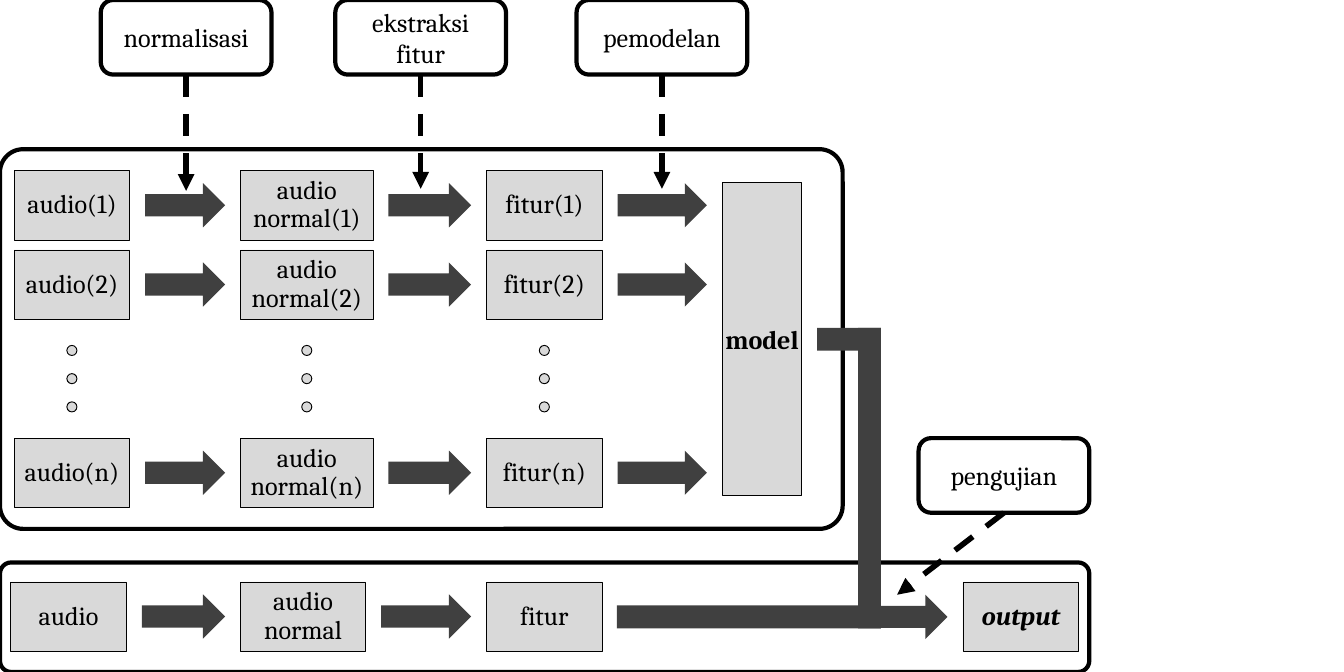
from lxml import etree
from pptx import Presentation
from pptx import util as u
from pptx.dml.color import RGBColor
from pptx.enum import dml, shapes, text
from pptx.oxml.ns import qn

COLORS = {"ink": "000000", "box": "D9D9D9", "arrow": "404040"}
KIND = shapes.MSO_SHAPE
GAP = 0.23
BOX_HEIGHT = 1.03
ARROW_HEIGHT = 0.66
BAR = 0.34
DOT = 0.15


def rgb(name):
    """Return the named colour."""
    return RGBColor.from_string(COLORS[name])


def add_part(page, kind, box, fill=None, line=None):
    """Draw a preset shape in box; a missing fill or line is left off."""
    part = page.shapes.add_shape(kind, *map(u.Inches, box))
    part.shadow.inherit = False
    if fill:
        part.fill.solid()
        part.fill.fore_color.rgb = rgb(fill)
    else:
        part.fill.background()
    if line:
        part.line.color.rgb = rgb("ink")
        part.line.width = u.Pt(line)
    else:
        part.line.fill.background()
    return part


def write(part, label, wrap=True, spacing=1.0, bold=False, italic=False):
    """Centre a label in a shape."""
    frame = part.text_frame
    frame.word_wrap = wrap
    frame.vertical_anchor = text.MSO_ANCHOR.MIDDLE
    frame.text = label
    for para in frame.paragraphs:
        para.alignment = text.PP_ALIGN.CENTER
        para.line_spacing = spacing
        para.font.name = "Cambria"
        para.font.size = u.Pt(28)
        para.font.bold = bold
        para.font.italic = italic
        para.font.color.rgb = rgb("ink")


def add_panel(page, box, rounding):
    """Draw the rounded outline around a process."""
    panel = add_part(page, KIND.ROUNDED_RECTANGLE, box, line=4.5)
    panel.adjustments[0] = rounding


def add_stage(page, left, top, width, label, **style):
    """Draw one grey data box with its label."""
    stage = add_part(page, KIND.RECTANGLE, (left, top, width, BOX_HEIGHT), "box", 0.75)
    frame = stage.text_frame
    frame.margin_left = frame.margin_right = u.Inches(0.11)
    frame.margin_top = frame.margin_bottom = u.Inches(0.11)
    write(stage, label, spacing=0.9, **style)


def add_arrow(page, left, right, stage_top):
    """Draw a block arrow level with the stages at stage_top."""
    top = stage_top + (BOX_HEIGHT - ARROW_HEIGHT) / 2
    add_part(page, KIND.RIGHT_ARROW, (left, top, right - left, ARROW_HEIGHT), "arrow")


def add_row(page, stages, top, end=None):
    """Draw stages (left, width, label) joined by arrows, the last one towards end."""
    next_lefts = [left for left, _, _ in stages[1:]] + [end]
    for (left, width, label), next_left in zip(stages, next_lefts):
        add_stage(page, left, top, width, label)
        if next_left is not None:
            add_arrow(page, left + width + GAP, next_left - GAP, top)


def add_training(page, box):
    """Draw the training process: rows 1, 2 to n that feed the model."""
    left, top, _, _ = box
    add_panel(page, box, 0.061)
    columns = [(0.21, 1.72, "audio"), (3.58, 1.97, "audio\vnormal"), (7.24, 1.72, "fitur")]
    model_left = left + 10.75
    for index, offset in (("1", 0.32), ("2", 1.5), ("n", 4.3)):
        stages = [(left + x, width, f"{name}({index})") for x, width, name in columns]
        add_row(page, stages, top + offset, model_left)
    for x, width, _ in columns:
        for step in range(3):
            dot_box = (left + x + (width - DOT) / 2, top + 2.92 + 0.42 * step, DOT, DOT)
            add_part(page, KIND.OVAL, dot_box, "box", 1)
    model = add_part(page, KIND.RECTANGLE, (model_left, top + 0.5, 1.18, 4.65), "box", 0.75)
    write(model, "model", wrap=False, bold=True)


def add_testing(page, box):
    """Draw the testing process that ends in the output."""
    left, top, _, _ = box
    add_panel(page, box, 0.102)
    stages = [(0.16, 1.72, "audio"), (3.58, 1.86, "audio\vnormal"), (7.24, 1.72, "fitur")]
    add_row(page, [(left + x, width, name) for x, width, name in stages], top + 0.29)
    add_stage(page, left + 14.33, top + 0.29, 1.72, "output", bold=True, italic=True)


def add_junction(page, box):
    """Draw the path that joins the model and the tested features into the output."""
    left, top, width, height = box
    pipe_left = left + 3.59
    bottom = top + height
    bars = [
        (left, bottom - BAR, pipe_left + BAR - left, BAR),
        (left + 2.98, top, 0.95, BAR),
        (pipe_left, top, BAR, height),
    ]
    for bar in bars:
        add_part(page, KIND.RECTANGLE, bar, "arrow")
    add_arrow(page, pipe_left, left + width, bottom - (BAR + BOX_HEIGHT) / 2)


def add_callout(page, box, label, tip):
    """Draw a rounded step name and its dashed arrow to tip."""
    left, top, width, height = box
    callout = add_part(page, KIND.ROUNDED_RECTANGLE, box, line=4.5)
    write(callout, label, wrap=False)
    ends = (left + width / 2, top + height, *tip)
    pointer = page.shapes.add_connector(shapes.MSO_CONNECTOR.STRAIGHT, *map(u.Inches, ends))
    pointer.line.color.rgb = rgb("ink")
    pointer.line.width = u.Pt(6)
    pointer.line.dash_style = dml.MSO_LINE.DASH
    etree.SubElement(pointer.line._get_or_add_ln(), qn("a:tailEnd"), type="triangle")
    etree.SubElement(pointer._element.spPr, qn("a:effectLst"))


def build():
    """Build the speech process slide and save it."""
    deck = Presentation()
    deck.slide_width, deck.slide_height = u.Inches(20), u.Inches(10)
    page = deck.slides.add_slide(deck.slide_layouts[6])
    add_testing(page, (0, 8.37, 16.21, 1.63))
    add_training(page, (0, 2.22, 12.54, 5.65))
    add_junction(page, (9.18, 4.88, 4.92, 4.47))
    callouts = [
        (1.5, 0, "normalisasi", (2.77, 2.84)),
        (4.99, 0, "ekstraksi\nfitur", (6.26, 2.81)),
        (8.58, 0, "pemodelan", (9.85, 2.81)),
        (13.67, 6.52, "pengujian", (13.35, 8.85)),
    ]
    for left, top, label, tip in callouts:
        add_callout(page, (left, top, 2.54, 1.11), label, tip)
    deck.save("out.pptx")


build()
